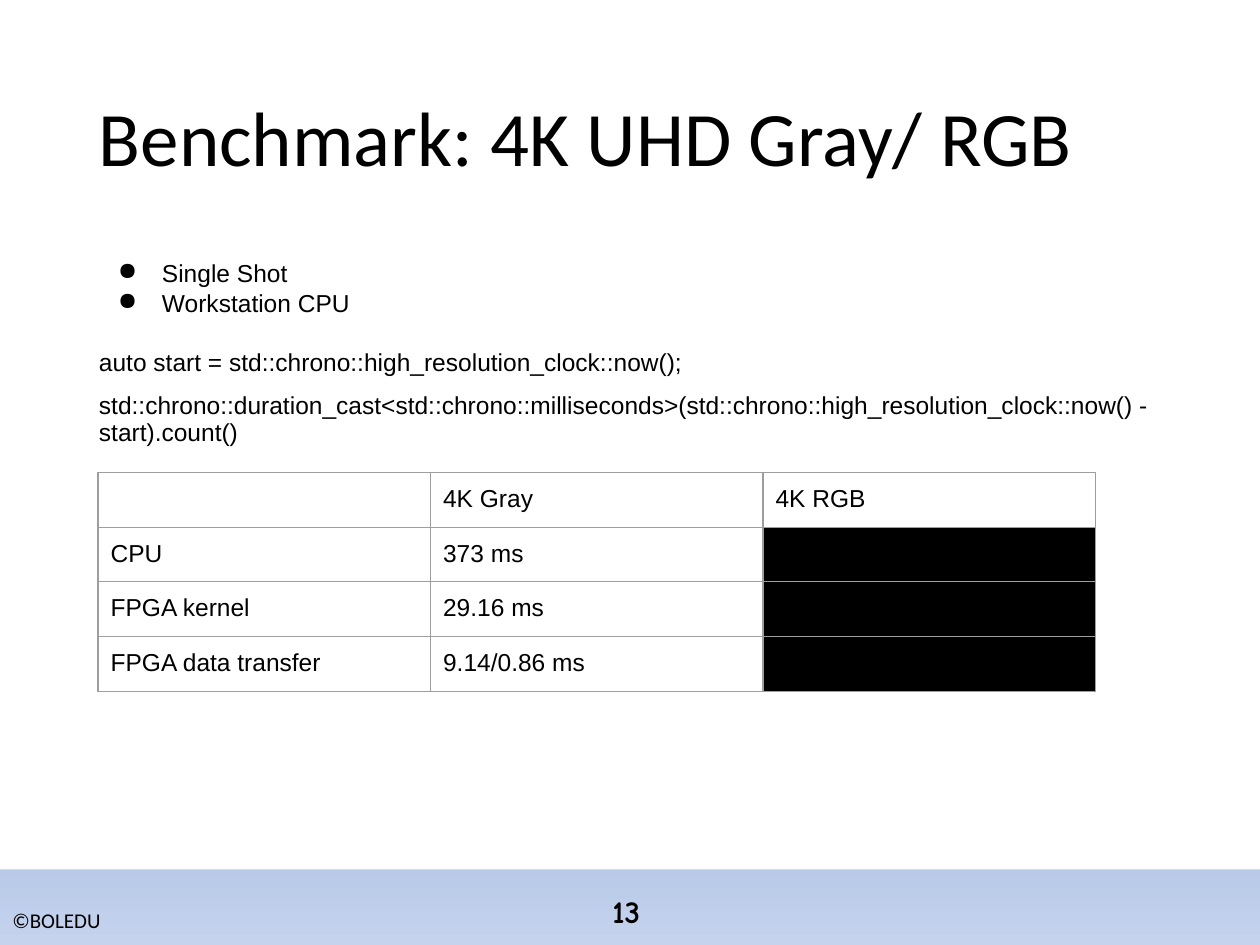
"""Build the 4K benchmark slide."""
from lxml import etree
from pptx import Presentation
from pptx import util as u
from pptx.dml.color import RGBColor
from pptx.enum import shapes, text
from pptx.oxml import ns

BLACK = RGBColor(0x00, 0x00, 0x00)
WHITE = RGBColor(0xFF, 0xFF, 0xFF)
BORDER = RGBColor(0x9E, 0x9E, 0x9E)
PALE = RGBColor(0xF5, 0xF7, 0xFC)
BLUE = RGBColor(0xA9, 0xBE, 0xE4)
LIGHT_BLUE = RGBColor(0xC5, 0xD3, 0xED)

BACKDROP = [(0, PALE), (74, BLUE), (83, BLUE), (100, LIGHT_BLUE)]
BODY = [
    ("Single Shot", {"bullet": "●"}),
    ("Workstation CPU", {"bullet": "●"}),
    ("auto start = std::chrono::high_resolution_clock::now();", {"before": 17}),
    ("std::chrono::duration_cast<std::chrono::milliseconds>"
     "(std::chrono::high_resolution_clock::now() - start).count()",
     {"before": 10, "spacing": 0.9}),
]
RESULTS = [
    ("", "4K Gray", "4K RGB"),
    ("CPU", "373 ms", None),
    ("FPGA kernel", "29.16 ms", None),
    ("FPGA data transfer", "9.14/0.86 ms", None),
]


def add_xml(parent, tag, **attrs):
    return etree.SubElement(parent, ns.qn(tag), **attrs)


def add_color(parent, color):
    add_xml(parent, "a:srgbClr", val=str(color))


class Deck:
    def __init__(self, width, height):
        self.prs = Presentation()
        self.prs.slide_width, self.prs.slide_height = u.Pt(width), u.Pt(height)
        self.s = self.prs.slides.add_slide(self.prs.slide_layouts[6])
        self.font, self.size = "Arial", 14

    def background(self, stops):
        fill = self.s.background.fill
        fill.gradient()
        fill.gradient_angle = 270
        gs_list = next(self.s.element.iter(ns.qn("a:gsLst")))
        for gs in list(gs_list):
            gs_list.remove(gs)
        for position, color in stops:
            add_color(add_xml(gs_list, "a:gs", pos=str(position * 1000)), color)

    def panel(self, box, color):
        sp = self.s.shapes.add_shape(shapes.MSO_SHAPE.RECTANGLE, *map(u.Pt, box))
        sp.shadow.inherit = False
        sp.fill.solid()
        sp.fill.fore_color.rgb = color
        sp.line.fill.background()

    def paragraph(self, p, value, font=None, size=None, bold=False, bullet=None,
                  before=0, spacing=None, align=None):
        p.text = value
        p.space_before = u.Pt(before)
        p.alignment = align
        if spacing:
            p.line_spacing = spacing
        if bullet:
            pPr = p._p.get_or_add_pPr()
            pPr.set("marL", str(u.Pt(36)))
            pPr.set("indent", str(u.Pt(-25.2)))
            add_color(add_xml(pPr, "a:buClr"), BLACK)
            add_xml(pPr, "a:buChar", char=bullet)
        for r in p.runs:
            r.font.name, r.font.size = font or self.font, u.Pt(size or self.size)
            r.font.bold, r.font.color.rgb = bold, BLACK

    def text(self, box, paragraphs, anchor=text.MSO_ANCHOR.TOP):
        tf = self.s.shapes.add_textbox(*map(u.Pt, box)).text_frame
        tf.word_wrap, tf.vertical_anchor = True, anchor
        for i, (value, style) in enumerate(paragraphs):
            p = tf.add_paragraph() if i else tf.paragraphs[0]
            self.paragraph(p, value, **style)

    def cell(self, cell, value):
        cell.margin_left = cell.margin_right = u.Pt(7.2)
        cell.margin_top = cell.margin_bottom = u.Pt(7.2)
        p = cell.text_frame.paragraphs[0]
        self.paragraph(p, value or "")
        if not value:
            add_xml(p._p, "a:endParaRPr", sz=str(self.size * 100))
        tcPr = cell._tc.get_or_add_tcPr()
        for side in "LRTB":
            ln = add_xml(tcPr, f"a:ln{side}", w=str(u.Pt(0.75)))
            add_color(add_xml(ln, "a:solidFill"), BORDER)
        if value is None:
            cell.fill.solid()
            cell.fill.fore_color.rgb = BLACK
        else:
            cell.fill.background()

    def table(self, left, top, col_width, row_height, rows):
        n, m = len(rows), len(rows[0])
        box = left, top, m * col_width, n * row_height
        table = self.s.shapes.add_table(n, m, *map(u.Pt, box)).table
        table.first_row = table.horz_banding = False
        for i, row in enumerate(rows):
            table.rows[i].height = u.Pt(row_height)
            for j, value in enumerate(row):
                self.cell(table.cell(i, j), value)


def main():
    deck = Deck(720, 540)
    deck.background(BACKDROP)
    deck.panel((0, 0, 720, 496.8), WHITE)
    deck.text((0, 514.8, 136.8, 21.6), [("©BOLEDU", {"font": "Calibri", "size": 12})])
    deck.text((49.5, 28.8, 621, 104.4),
              [("Benchmark: 4K UHD Gray/ RGB",
                {"font": "Calibri", "size": 44, "spacing": 0.9})],
              text.MSO_ANCHOR.MIDDLE)
    deck.text((49.5, 144, 621, 342.7), BODY)
    deck.text((319.7, 506.2, 53.3, 28.8),
              [("13", {"font": "Comic Neue", "size": 18, "bold": True,
                       "align": text.PP_ALIGN.RIGHT})],
              text.MSO_ANCHOR.MIDDLE)
    deck.table(56, 270, 190, 30, RESULTS)
    deck.prs.save("out.pptx")


if __name__ == "__main__":
    main()
